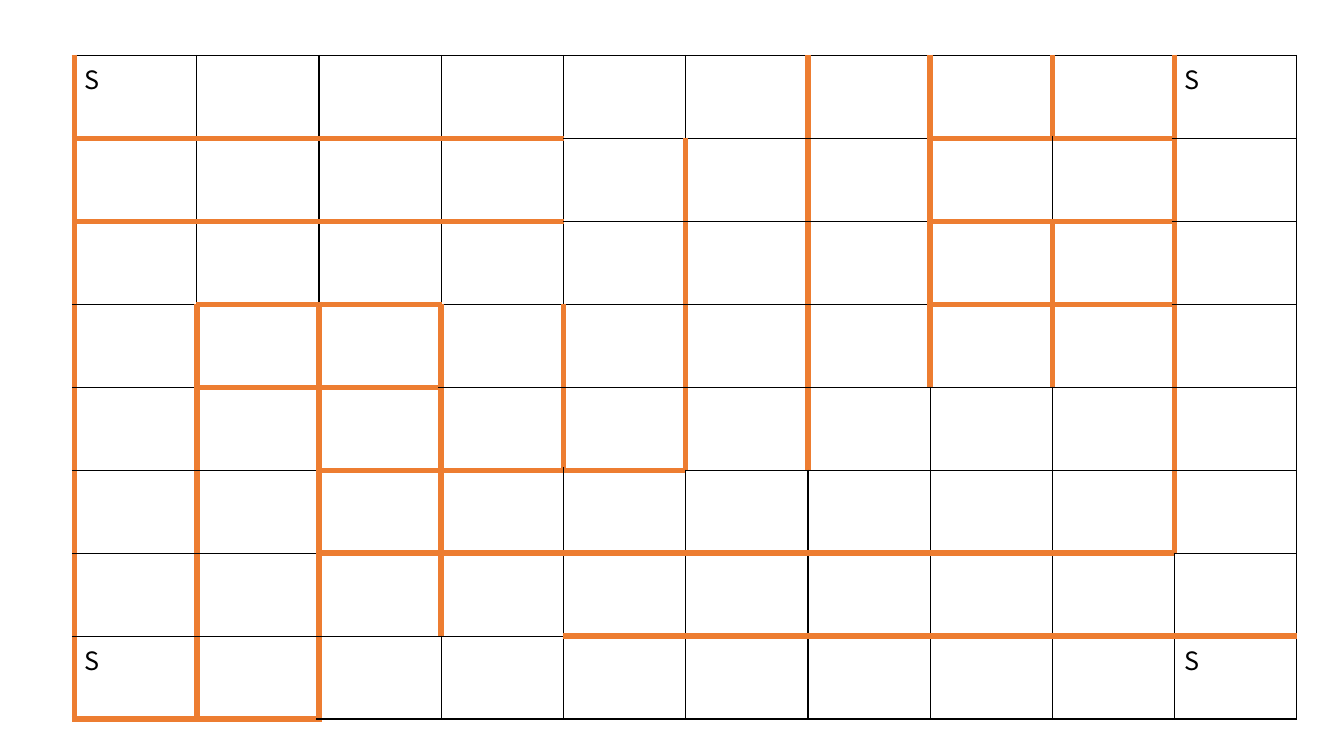
"""Build a maze slide: a table grid whose thick cell borders are the walls."""
import pptx
import pptx.dml.color
import pptx.oxml.ns
import pptx.util
import lxml.etree

Cm, Pt = pptx.util.Cm, pptx.util.Pt
COLS, ROWS = 10, 8
LEFT, TOP, WIDE, HIGH = 1.88, 1.4, 3.08, 2.09
FONT, INK = "Noto Sans CJK KR", "000000"
WALL, THIN = ("ED7D31", 4.5), (INK, 1)

UPRIGHT = {
    0: [(0, 8)], 1: [(3, 8)], 2: [(3, 8)], 3: [(3, 7)], 4: [(3, 5)],
    5: [(1, 5)], 6: [(0, 5)], 7: [(0, 4)], 8: [(0, 1), (2, 4)], 9: [(0, 6)],
}
LEVEL = {
    1: [(0, 4), (7, 9)], 2: [(0, 4), (7, 9)], 3: [(1, 3), (7, 9)],
    4: [(1, 3)], 5: [(2, 5)], 6: [(2, 9)], 7: [(4, 10)], 8: [(0, 2)],
}
STARTS = {(row, col): "S" for row in (0, ROWS - 1) for col in (0, COLS - 1)}


def color(code):
    return pptx.dml.color.RGBColor.from_string(code)


def line(walls, index, place):
    spans = walls.get(index, [])
    return WALL if any(a <= place < b for a, b in spans) else THIN


def border(cell, side, code, width):
    tag = pptx.oxml.ns.qn
    props = cell._tc.get_or_add_tcPr()
    edge = lxml.etree.SubElement(props, tag("a:ln" + side), w=str(Pt(width)))
    fill = lxml.etree.SubElement(edge, tag("a:solidFill"))
    lxml.etree.SubElement(fill, tag("a:srgbClr"), val=code)


deck = pptx.Presentation()
deck.slide_width, deck.slide_height = Cm(33.87), Cm(19.05)
slide = deck.slides.add_slide(deck.slide_layouts[6])
maze = slide.shapes.add_table(
    ROWS, COLS, Cm(LEFT), Cm(TOP), Cm(COLS * WIDE), Cm(ROWS * HIGH)).table
maze.first_row = maze.horz_banding = False
for column in maze.columns:
    column.width = Cm(WIDE)
for band in maze.rows:
    band.height = Cm(HIGH)

for row in range(ROWS):
    for col in range(COLS):
        cell = maze.cell(row, col)
        border(cell, "L", *line(UPRIGHT, col, row))
        border(cell, "R", *line(UPRIGHT, col + 1, row))
        border(cell, "T", *line(LEVEL, row, col))
        border(cell, "B", *line(LEVEL, row + 1, col))
        cell.fill.background()
        cell.text = STARTS.get((row, col), "")
        font = cell.text_frame.paragraphs[0].font
        font.name, font.size = FONT, Pt(18)
        font.color.rgb = color(INK)

deck.save("out.pptx")
